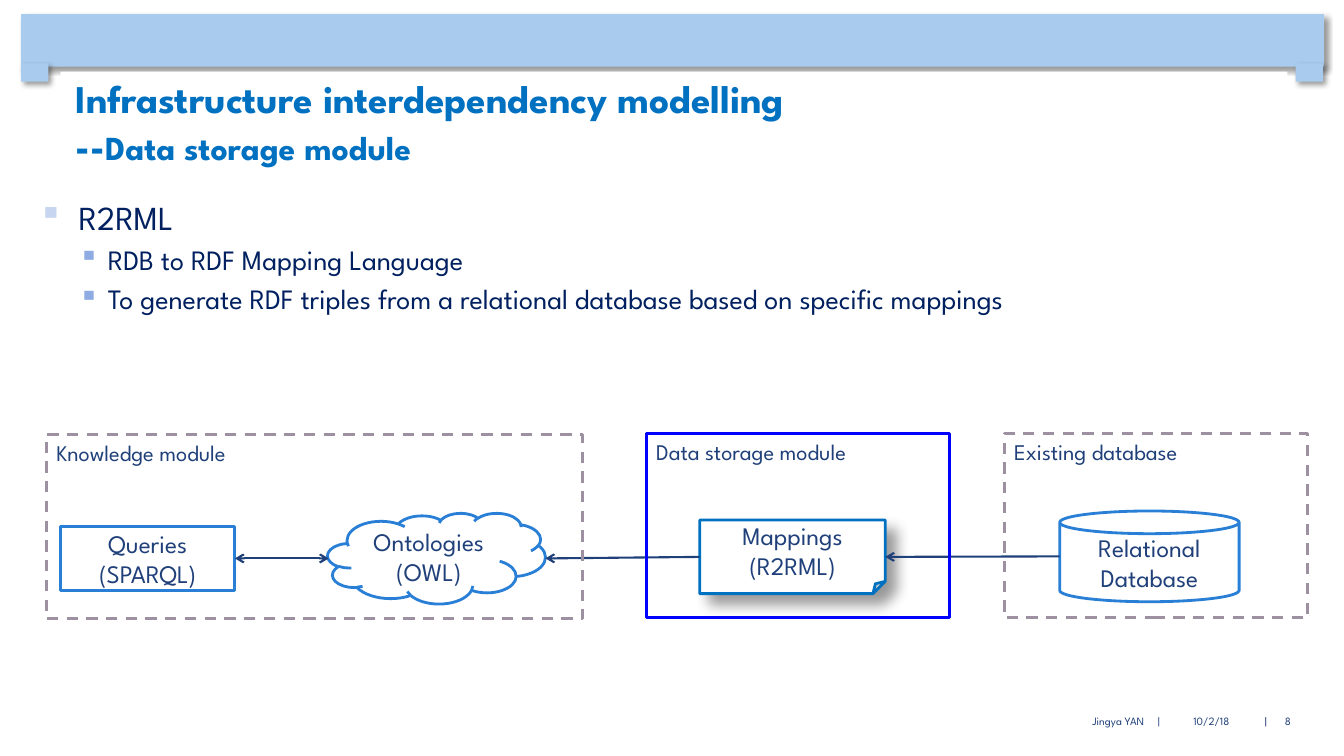
from lxml.etree import SubElement
from pptx import Presentation
from pptx.dml.color import RGBColor
from pptx.enum.dml import MSO_LINE
from pptx.enum.shapes import MSO_CONNECTOR, MSO_SHAPE as SHAPE
from pptx.enum.text import MSO_ANCHOR as ANCHOR, PP_ALIGN as ALIGN
from pptx.oxml.ns import qn
from pptx.util import Pt

PX = 9144
FONT = "League Spartan"
COLORS = {
    "banner": "A9CCEE", "white": "FFFFFF", "title": "0070C0", "navy": "002060",
    "label": "20407A", "footer": "1F407A", "node": "297FD5", "module": "9D90A0",
    "focus": "0000FF", "bullet": "C7D5F0", "subbullet": "8EACE1", "shadow": "000000",
}
RGB = {name: RGBColor.from_string(value) for name, value in COLORS.items()}

prs = Presentation()
prs.slide_width, prs.slide_height = 1333 * PX, 750 * PX
slide = prs.slides.add_slide(prs.slide_layouts[6])
shapes = slide.shapes


def write(box, lines, size, color, align, anchor, margins=(10, 5, 10, 5)):
    frame = box.text_frame
    frame.word_wrap = True
    frame.vertical_anchor = anchor
    (frame.margin_left, frame.margin_top,
     frame.margin_right, frame.margin_bottom) = [m * PX for m in margins]
    frame.text = lines
    for paragraph in frame.paragraphs:
        paragraph.alignment = align
        for run in paragraph.runs:
            run.font.name = FONT
            run.font.size = Pt(size)
            run.font.color.rgb = RGB[color]
    return frame


def draw(kind, bounds, fill=None, line=None, shadow=None):
    shape = shapes.add_shape(kind, *[v * PX for v in bounds])
    shape.shadow.inherit = False
    if fill:
        shape.fill.solid()
        shape.fill.fore_color.rgb = RGB[fill]
    else:
        shape.fill.background()
    if line:
        shape.line.color.rgb = RGB[line]
        shape.line.width = Pt(2)
    else:
        shape.line.fill.background()
    if shadow:
        blur, distance = shadow
        effects = shape._element.spPr.find(qn("a:effectLst"))
        outer = SubElement(effects, qn("a:outerShdw"), blurRad=str(Pt(blur)),
                           dist=str(Pt(distance)), dir="2700000", algn="tl", rotWithShape="0")
        tint = SubElement(outer, qn("a:srgbClr"), val=COLORS["shadow"])
        SubElement(tint, qn("a:alpha"), val="40000")
    return shape


for bounds in [(21, 14, 1292, 52), (21, 63, 27, 18), (1285, 63, 27, 18)]:
    draw(SHAPE.RECTANGLE, bounds, "banner", shadow=(4, 3))

title = draw(SHAPE.RECTANGLE, (60, 71, 1217, 96), "white")
heading = write(title, "Infrastructure interdependency modelling\v--", 28, "title",
                ALIGN.LEFT, ANCHOR.BOTTOM, (15, 0, 16, 0)).paragraphs[0]
subtitle = heading.add_run()
subtitle.text = "Data storage module"
subtitle.font.name = FONT
subtitle.font.size = Pt(24)
subtitle.font.color.rgb = RGB["title"]
for run in heading.runs:
    run.font.bold = True

points = [
    ("R2RML", 0),
    ("RDB to RDF Mapping Language", 1),
    ("To generate RDF triples from a relational database based on specific mappings", 1),
]
levels = [(24, 40, 40, "bullet"), (20, 69, 29, "subbullet")]
body = shapes.add_textbox(23 * PX, 195 * PX, 1235 * PX, 194 * PX)
outline = write(body, "\n".join(text for text, level in points), 20, "navy",
                ALIGN.LEFT, ANCHOR.TOP, (15, 0, 0, 0))
for paragraph, (text, level) in zip(outline.paragraphs, points):
    size, margin, hanging, bullet = levels[level]
    props = paragraph._p.get_or_add_pPr()
    props.set("marL", str(margin * PX))
    props.set("indent", str(-hanging * PX))
    SubElement(SubElement(props, qn("a:buClr")), qn("a:srgbClr"), val=COLORS[bullet])
    SubElement(props, qn("a:buChar"), char="▪")
    paragraph.level = level
    paragraph.runs[0].font.size = Pt(size)
    if level:
        paragraph.space_before = Pt(4)

footers = [
    ("|", 1248, 15, "navy", ALIGN.CENTER),
    ("|", 1142, 15, "label", ALIGN.CENTER),
    ("10/2/18", 1157, 89, "footer", ALIGN.CENTER),
    ("Jingya YAN", 1010, 125, "footer", ALIGN.RIGHT),
    ("8", 1258, 39, "footer", ALIGN.CENTER),
]
for text, left, width, color, align in footers:
    footer = shapes.add_textbox(left * PX, 690 * PX, width * PX, 51 * PX)
    write(footer, text, 8, color, align, ANCHOR.MIDDLE, (0, 0, 0, 0))

database = draw(SHAPE.CAN, (1051, 507, 178, 90), "white", "node")
ontologies = draw(SHAPE.CLOUD, (325, 509, 216, 90), "white", "node")
mappings = draw(SHAPE.FOLDED_CORNER, (694, 516, 184, 73), "white", "title", (10, 10))
queries = draw(SHAPE.RECTANGLE, (60, 522, 173, 64), "white", "node")
nodes = [
    (database, "Relational Database"),
    (ontologies, "Ontologies\n(OWL)"),
    (mappings, "Mappings\n(R2RML)"),
    (queries, "Queries\n(SPARQL)"),
]
for node, text in nodes:
    write(node, text, 18, "label", ALIGN.CENTER, ANCHOR.MIDDLE)

flows = [
    ((233, 554, 326, 554), (queries, 3), None, ("headEnd", "tailEnd")),
    ((694, 552, 541, 554), (mappings, 1), None, ("tailEnd",)),
    ((1051, 552, 878, 552), None, (mappings, 3), ("tailEnd",)),
]
for ends, start, finish, arrows in flows:
    flow = shapes.add_connector(MSO_CONNECTOR.STRAIGHT, *[v * PX for v in ends])
    if start:
        flow.begin_connect(*start)
    if finish:
        flow.end_connect(*finish)
    flow.line.color.rgb = RGB["label"]
    flow.line.width = Pt(1.5)
    for arrow in arrows:
        SubElement(flow.line._ln, qn("a:" + arrow), type="arrow")
    SubElement(flow._element.spPr, qn("a:effectLst"))

modules = [
    ("Existing database", (996, 430, 301, 183), "module", MSO_LINE.DASH),
    ("Knowledge module", (46, 431, 532, 183), "module", MSO_LINE.DASH),
    ("Data storage module", (641, 430, 301, 183), "focus", MSO_LINE.SOLID),
]
for text, bounds, color, dash in modules:
    module = draw(SHAPE.RECTANGLE, bounds, line=color)
    module.line.dash_style = dash
    write(module, text, 16, "label", ALIGN.LEFT, ANCHOR.TOP)

prs.save("out.pptx")
